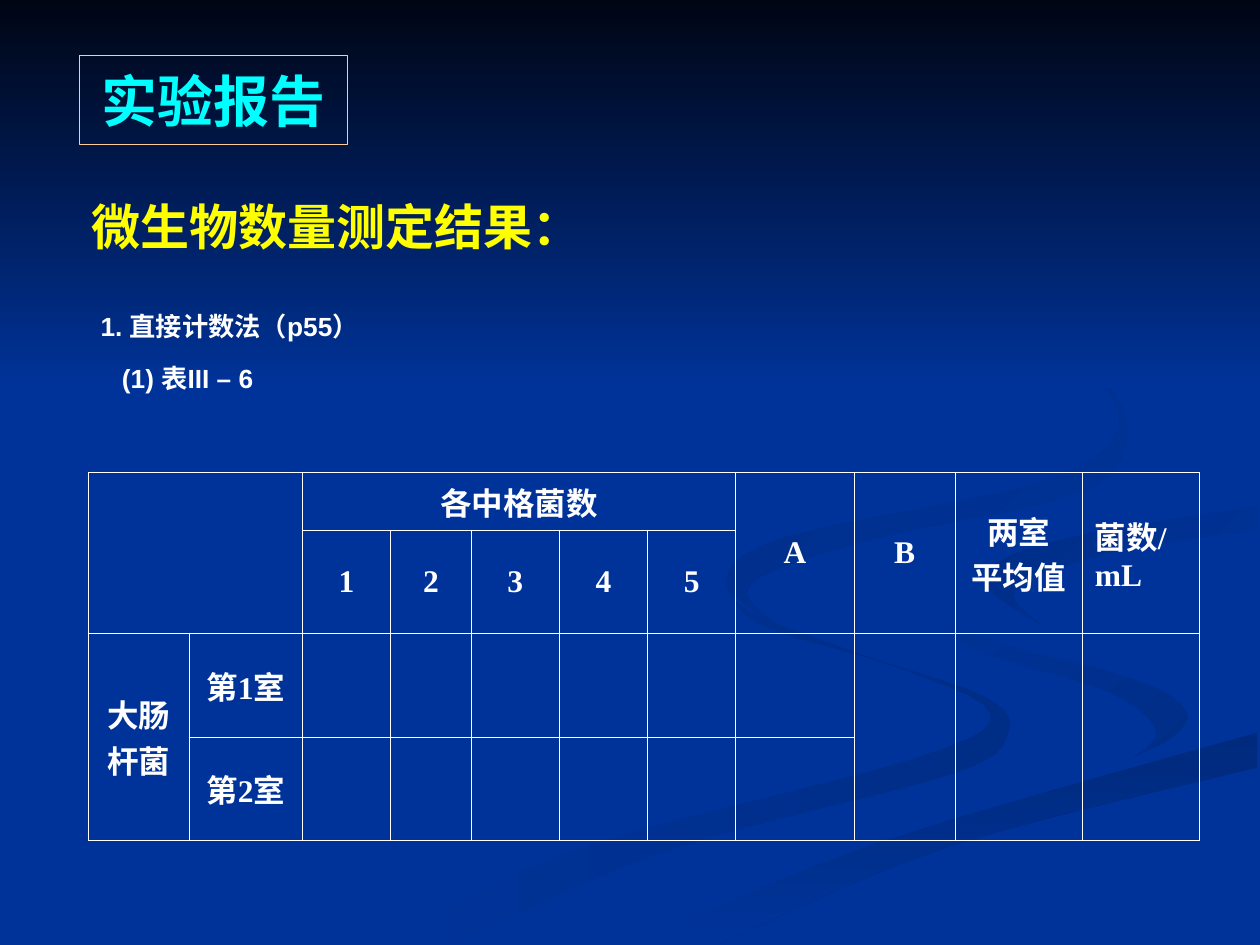
from lxml import etree
from pptx import Presentation
from pptx.dml.color import RGBColor
from pptx.enum import text
from pptx.oxml.ns import qn
from pptx.util import Inches, Pt

BLUE = RGBColor(0x00, 0x33, 0x99)
NIGHT = RGBColor(0x00, 0x05, 0x14)
SHADE = RGBColor(0x00, 0x2D, 0x86)
SHADE_BAND = RGBColor(0x00, 0x2A, 0x7D)
PEACH = RGBColor(0xFF, 0xCC, 0x99)
CYAN = RGBColor(0x00, 0xFF, 0xFF)
YELLOW = RGBColor(0xFF, 0xFF, 0x00)
WHITE = RGBColor(0xFF, 0xFF, 0xFF)


def smooth(knots, steps=5):
    """Return points on a Catmull-Rom curve through the knots."""
    padded = [knots[0], *knots, knots[-1]]
    points = [knots[0]]
    for a, b, c, d in zip(padded, padded[1:], padded[2:], padded[3:]):
        for t in (i / steps for i in range(1, steps + 1)):
            points.append(tuple(
                b[k] + t * (c[k] - a[k]) / 2
                + t ** 2 * (2 * a[k] - 5 * b[k] + 4 * c[k] - d[k]) / 2
                + t ** 3 * (3 * b[k] - a[k] - 3 * c[k] + d[k]) / 2 for k in (0, 1)))
    return points


def add_textbox(left, top, width, height, lines, size, color, spacing=1.0):
    sp = s.shapes.add_textbox(Inches(left), Inches(top), Inches(width), Inches(height))
    tf = sp.text_frame
    tf.word_wrap = True
    tf.text = "\n".join(lines)
    for p in tf.paragraphs:
        p.line_spacing = spacing
        p.font.name, p.font.size, p.font.bold = "Arial", Pt(size), True
        p.font.color.rgb = color
    return sp


prs = Presentation()
prs.slide_width, prs.slide_height = Inches(10), Inches(7.5)
s = prs.slides.add_slide(prs.slide_layouts[6])
s.background.fill.solid()
s.background.fill.fore_color.rgb = BLUE

# Background ribbons: two smooth edges, first and last colour, clockwise angle
ribbons = [
    ([(5.75, 4.59), (5.94, 4.85), (6.82, 5.19), (7.81, 5.53), (8, 5.81), (7.56, 6.14),
      (5.32, 6.74), (3.61, 7.49)],
     [(3, 7.49), (4.58, 6.74), (7.27, 6.02), (7.86, 5.66), (7.14, 5.3), (6.02, 4.95),
      (5.75, 4.59)], BLUE, SHADE, 0),
    ([(7.24, 4.64), (7.58, 4.98), (8.7, 5.3), (9.3, 5.53), (9.41, 5.81), (8.94, 6.05)],
     [(8.94, 6.05), (9.18, 5.81), (8.8, 5.49), (7.66, 5.12), (7.24, 4.64)], BLUE, SHADE, 45),
    ([(5.03, 7.49), (6.3, 6.93), (7.97, 6.38), (9.98, 5.81)],
     [(9.98, 6.09), (7.52, 6.72), (5.71, 7.49)], SHADE_BAND, BLUE, 90),
    ([(9.99, 3.87), (7.88, 4.22), (7.25, 4.64), (7.93, 5.09), (9.05, 5.4), (9.43, 5.7),
      (8.81, 6.08), (6.63, 6.68), (4.77, 7.49)],
     [(5.03, 7.49), (6.96, 6.69), (9.99, 5.81)],
     BLUE, BLUE, 0),
    ([(9.98, 4.02), (8.35, 4.3), (7.81, 4.6), (8.26, 4.96)],
     [(8.26, 4.96), (8.06, 4.68), (8.78, 4.39), (9.98, 4.2)], SHADE, BLUE, 45),
    ([(7.62, 2.33), (8.64, 2.91), (8.94, 3.44), (8.55, 3.91), (6.83, 4.3), (5.94, 4.65),
      (6.22, 5)],
     [(6.22, 5), (5.77, 4.62), (6.25, 4.26), (8.3, 3.82), (8.89, 3.35), (8.46, 2.79),
      (7.62, 2.33)], SHADE, BLUE, 45),
    ([(0, 0), (10, 0)], [(10, 3.08), (0, 3.08)], NIGHT, BLUE, 90),
]
for edge, back_edge, first, last, angle in ribbons:
    points = [(Inches(x), Inches(y)) for x, y in smooth(edge) + smooth(back_edge)]
    builder = s.shapes.build_freeform(*points[0])
    builder.add_line_segments(points[1:], close=True)
    sp = builder.convert_to_shape()
    sp.shadow.inherit = False
    sp.line.fill.background()
    if first == last:
        sp.fill.solid()
        sp.fill.fore_color.rgb = first
    else:
        sp.fill.gradient()
        sp.fill.gradient_angle = (360 - angle) % 360
        for stop, color in zip(sp.fill.gradient_stops, (first, last)):
            stop.color.rgb = color

title = add_textbox(0.63, 0.44, 2.13, 0.71, ["实验报告"], 32, CYAN)
title.line.color.rgb = PEACH
title.line.width = Pt(0.75)
title.text_frame.vertical_anchor = text.MSO_ANCHOR.MIDDLE
title.text_frame.paragraphs[0].alignment = text.PP_ALIGN.CENTER

body = add_textbox(0.7, 2.34, 8.86, 0.78, ["1. 直接计数法（p55）", "(1) 表III – 6"], 15, WHITE, 1.3)
p = body.text_frame.paragraphs[1]
p.space_before = Pt(6)
p._p.get_or_add_pPr().set("marL", str(Inches(0.17)))

# Counting table
col_widths = [0.8, 0.9, 0.7, 0.64, 0.7, 0.7, 0.7, 0.94, 0.8, 1.01, 0.93]
row_heights = [0.46] + [0.82] * 3
table = s.shapes.add_table(len(row_heights), len(col_widths), Inches(0.7), Inches(3.75),
                           Inches(sum(col_widths)), Inches(sum(row_heights))).table
table.first_row = table.horz_banding = False
for column, width in zip(table.columns, col_widths):
    column.width = Inches(width)
for row, height in zip(table.rows, row_heights):
    row.height = Inches(height)

labels = {(0, 2): "各中格菌数", (0, 7): "A", (0, 8): "B", (0, 9): "两室\n平均值",
          (0, 10): "菌数/ mL", (2, 0): "大肠杆菌", (2, 1): "第1室", (3, 1): "第2室"}
labels.update({(1, n + 1): str(n) for n in range(1, 6)})

for r in range(len(row_heights)):
    for c in range(len(col_widths)):
        cell = table.cell(r, c)
        cell.fill.background()
        cell.vertical_anchor = text.MSO_ANCHOR.MIDDLE
        cell.text = labels.get((r, c), "")
        for p in cell.text_frame.paragraphs:
            p.font.name, p.font.size, p.font.bold = "Times New Roman", Pt(18), True
            p.font.color.rgb = WHITE
            p.alignment = text.PP_ALIGN.LEFT if c == 10 else text.PP_ALIGN.CENTER
        tcPr = cell._tc.get_or_add_tcPr()
        for i, side in enumerate(("lnL", "lnR", "lnT", "lnB")):
            ln = etree.Element(qn("a:" + side), w=str(Pt(0.45)))
            fill = etree.SubElement(ln, qn("a:solidFill"))
            etree.SubElement(fill, qn("a:srgbClr"), val=str(WHITE))
            tcPr.insert(i, ln)

merges = [(0, 0, 1, 1), (0, 2, 0, 6), (2, 0, 3, 0)]
merges += [(0, c, 1, c) for c in range(7, 11)] + [(2, c, 3, c) for c in range(8, 11)]
for top, left, bottom, right in merges:
    table.cell(top, left).merge(table.cell(bottom, right))

add_textbox(0.63, 1.56, 4.89, 0.52, ["微生物数量测定结果："], 28, YELLOW, 0.9)

prs.save("out.pptx")
